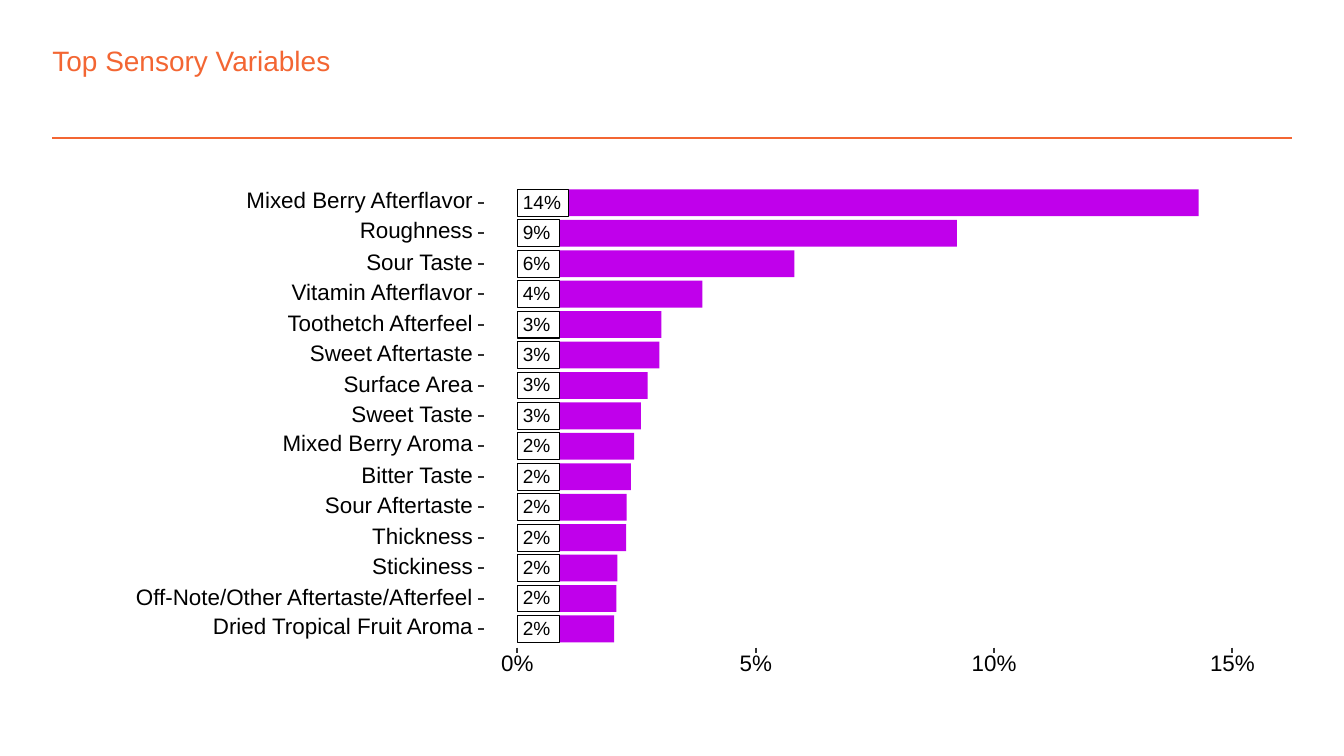
"""Build the Top Sensory Variables slide."""
from lxml.etree import SubElement
from pptx import Presentation
from pptx.dml.color import RGBColor
from pptx.enum.shapes import MSO_CONNECTOR, MSO_SHAPE
from pptx.enum.text import MSO_ANCHOR, PP_ALIGN
from pptx.oxml.ns import qn
from pptx.util import Inches, Pt

WIDTH = 10
HEIGHT = WIDTH * 9 / 16
MARGIN = 0.39
ORIGIN, AXIS_END, AXIS_MAX = 3.85, 9.17, 15
FIRST_ROW, LAST_ROW, BAR_HEIGHT = 1.41, 4.58, 0.2
LABEL_RIGHT, TICK_LEFT, TICK = 3.52, 3.56, 0.04
AXIS_TOP, SLACK = 4.82, 0.04
ORANGE, PURPLE, WHITE, BLACK, GRAY = "F36633", "C000EB", "FFFFFF", "000000", "333333"

VARIABLES = [
    ("Mixed Berry Afterflavor", 1.69, 14.29),
    ("Roughness", 0.84, 9.22),
    ("Sour Taste", 0.82, 5.81),
    ("Vitamin Afterflavor", 1.36, 3.88),
    ("Toothetch Afterfeel", 1.41, 3.02),
    ("Sweet Aftertaste", 1.22, 2.98),
    ("Surface Area", 0.97, 2.73),
    ("Sweet Taste", 0.93, 2.59),
    ("Mixed Berry Aroma", 1.43, 2.45),
    ("Bitter Taste", 0.85, 2.38),
    ("Sour Aftertaste", 1.11, 2.29),
    ("Thickness", 0.75, 2.28),
    ("Stickiness", 0.75, 2.1),
    ("Off-Note/Other Aftertaste/Afterfeel", 2.52, 2.08),
    ("Dried Tropical Fruit Aroma", 1.95, 2.03),
]


def color(hex_value):
    """Turn a hex string into a colour."""
    return RGBColor.from_string(hex_value)


def across(percent):
    """Return the horizontal place of a percentage on the value axis."""
    return ORIGIN + percent * (AXIS_END - ORIGIN) / AXIS_MAX


def row_top(row):
    """Return the top of a bar row."""
    return FIRST_ROW + row * (LAST_ROW - FIRST_ROW) / (len(VARIABLES) - 1)


def add_box(shapes, x, y, w, h, fill, line=None, weight=1.07):
    """Add a filled rectangle, outlined when a line colour is given."""
    box = shapes.add_shape(MSO_SHAPE.RECTANGLE, Inches(x), Inches(y), Inches(w), Inches(h))
    box.shadow.inherit = False
    box.fill.solid()
    box.fill.fore_color.rgb = color(fill)
    if line:
        box.line.color.rgb = color(line)
        box.line.width = Pt(weight)
    else:
        box.line.fill.background()


def add_line(shapes, x1, y1, x2, y2, hex_value, weight=1.07):
    """Add a straight line without shadow."""
    line = shapes.add_connector(
        MSO_CONNECTOR.STRAIGHT, Inches(x1), Inches(y1), Inches(x2), Inches(y2))
    line.line.color.rgb = color(hex_value)
    line.line.width = Pt(weight)
    SubElement(line._element.spPr, qn("a:effectLst"))


def add_text(shapes, text, x, y, w, h, size, align=PP_ALIGN.LEFT):
    """Add a one-line text box without insets and return its paragraph."""
    tf = shapes.add_textbox(Inches(x), Inches(y), Inches(w), Inches(h)).text_frame
    tf.margin_left = tf.margin_right = tf.margin_top = tf.margin_bottom = 0
    tf.word_wrap = False
    tf.vertical_anchor = MSO_ANCHOR.MIDDLE
    tf.text = text
    p = tf.paragraphs[0]
    p.alignment = align
    p.line_spacing = Pt(size)
    font = p.runs[0].font
    font.name, font.size = "Arial", Pt(size)
    font.color.rgb = color(BLACK)
    return p


def add_title(shapes, text):
    """Add the orange title and the rule below it."""
    p = add_text(shapes, text, MARGIN, 0.32, 8.29, 0.25, 15)
    p.line_spacing = 1.0
    p.runs[0].font.color.rgb = color(ORANGE)
    add_line(shapes, MARGIN, 1.03, WIDTH - MARGIN, 1.03, ORANGE, 1)


def add_variable(shapes, row, name, width, percent):
    """Add the bar, value tag, name and tick of one variable."""
    top = row_top(row)
    middle = top + BAR_HEIGHT / 2
    value = f"{percent:.0f}%"
    digits = 0.07 * len(value)
    add_box(shapes, ORIGIN, top, across(percent) - ORIGIN, BAR_HEIGHT, PURPLE)
    add_box(shapes, ORIGIN, top, digits + 0.17, BAR_HEIGHT, WHITE, BLACK, 0.53)
    add_text(shapes, value, ORIGIN + 0.04, top + 0.05, digits + 0.07 + SLACK, 0.11, 10.2)
    descends = any(letter in name for letter in "gpy")
    height, lift = (0.15, 0.01) if descends else (0.12, 0)
    add_text(shapes, name, LABEL_RIGHT - width - SLACK, middle - height / 2 - lift,
             width + SLACK, height, 12, PP_ALIGN.RIGHT)
    add_line(shapes, TICK_LEFT, middle, TICK_LEFT + TICK, middle, GRAY)


def add_axis_mark(shapes, percent):
    """Add one tick and its label on the value axis."""
    x = across(percent)
    label = f"{percent}%"
    width = 0.06 + 0.09 * len(label) + SLACK
    add_line(shapes, x, AXIS_TOP, x, AXIS_TOP + TICK, GRAY)
    add_text(shapes, label, x - width / 2, AXIS_TOP + 0.06, width, 0.13, 12, PP_ALIGN.CENTER)


def main():
    """Build and save the slide."""
    prs = Presentation()
    prs.slide_width, prs.slide_height = Inches(WIDTH), Inches(HEIGHT)
    s = prs.slides.add_slide(prs.slide_layouts[6])
    add_title(s.shapes, "Top Sensory Variables")
    chart = s.shapes.add_group_shape().shapes
    add_box(chart, 0.075 * WIDTH, 1.3, 0.85 * WIDTH, 4, WHITE, WHITE)
    for row, variable in enumerate(VARIABLES):
        add_variable(chart, row, *variable)
    for percent in range(0, AXIS_MAX + 1, 5):
        add_axis_mark(chart, percent)
    prs.save("out.pptx")


if __name__ == "__main__":
    main()
